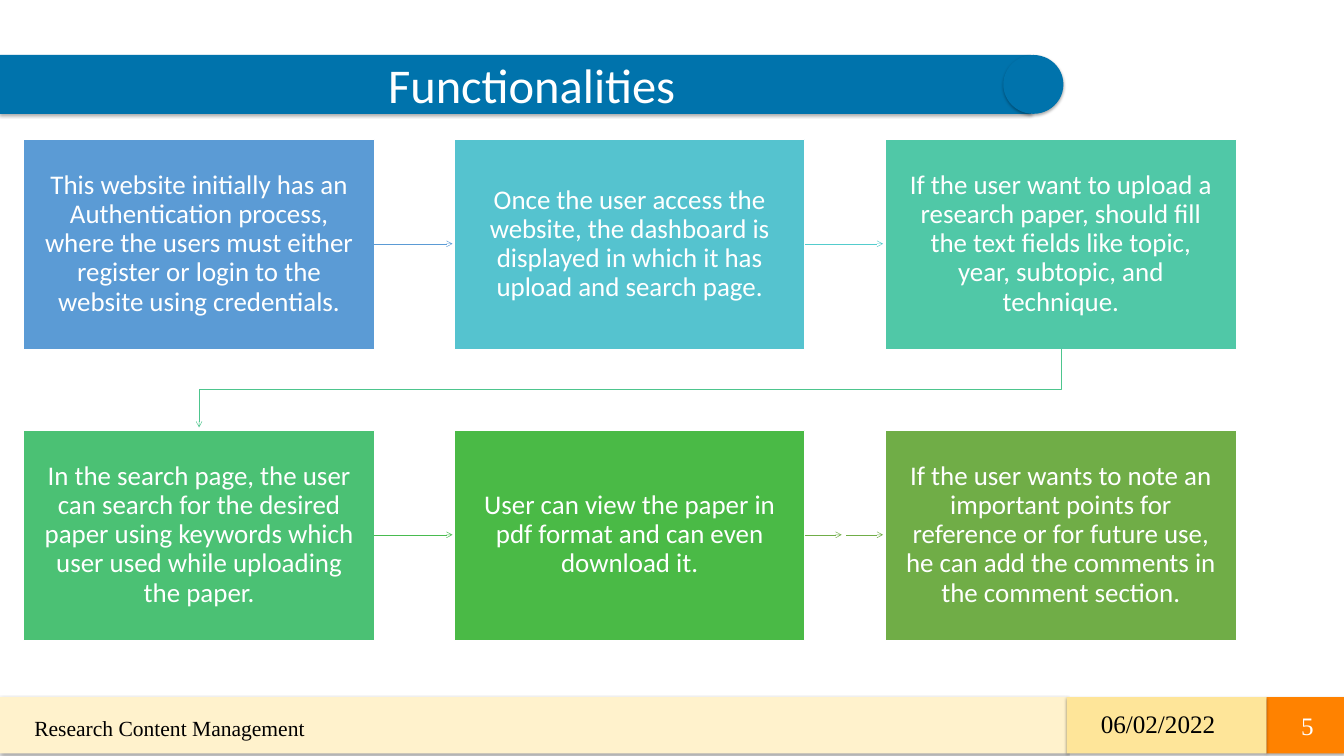
from lxml.etree import SubElement
from pptx import Presentation
from pptx.dml.color import RGBColor
from pptx.enum.shapes import MSO_CONNECTOR as Conn, MSO_SHAPE as Kind
from pptx.enum.text import MSO_ANCHOR as Anchor, PP_ALIGN as Align
from pptx.oxml.ns import qn
from pptx.util import Pt

PX = 9144


def rgb(code):
    return RGBColor.from_string(code)


class Deck:
    """Draws styled elements on one slide, in px of a hundredth of an inch."""

    sans = "Calibri"
    serif = "Times New Roman"
    white = "FFFFFF"
    black = "000000"

    def __init__(self, width, height):
        self.prs = Presentation()
        self.prs.slide_width = width * PX
        self.prs.slide_height = height * PX
        self.slide = self.prs.slides.add_slide(self.prs.slide_layouts[6])
        self.shapes = self.slide.shapes

    def fill_text(self, shape, text, size, font, color, align, anchor, pad):
        frame = shape.text_frame
        frame.word_wrap = True
        frame.vertical_anchor = anchor
        left, top, right, bottom = pad
        frame.margin_left, frame.margin_top = left * PX, top * PX
        frame.margin_right, frame.margin_bottom = right * PX, bottom * PX
        para = frame.paragraphs[0]
        para.text = text
        para.alignment = align
        para.font.size = Pt(size)
        para.font.name = font
        para.font.color.rgb = rgb(color)
        return para

    def block(self, kind, box, fill):
        shape = self.shapes.add_shape(kind, *(n * PX for n in box))
        shape.shadow.inherit = False
        shape.fill.solid()
        shape.fill.fore_color.rgb = rgb(fill)
        shape.line.fill.background()
        return shape

    def panel(self, kind, box, fill):
        shape = self.block(kind, box, fill)
        effects = shape.element.spPr.find(qn("a:effectLst"))
        shade = SubElement(effects, qn("a:outerShdw"), blurRad=str(Pt(3.5)),
                           dist=str(Pt(2.2)), dir="5400000", rotWithShape="0")
        tint = SubElement(shade, qn("a:srgbClr"), val=self.black)
        SubElement(tint, qn("a:alpha"), val="32000")
        return shape

    def title(self, box, fill, text):
        shape = self.panel(Kind.RECTANGLE, box, fill)
        self.fill_text(shape, text, 54, self.sans, self.white, Align.CENTER,
                       Anchor.TOP, (50, 0, 0, 0))

    def card(self, box, fill, text):
        shape = self.block(Kind.RECTANGLE, box, fill)
        shape.line.color.rgb = rgb(self.white)
        shape.line.width = Pt(1)
        para = self.fill_text(shape, text, 30, self.sans, self.white,
                              Align.CENTER, Anchor.MIDDLE, (27, 28, 27, 28))
        para.line_spacing = 0.9

    def label(self, box, text, size, color, align=Align.LEFT,
              anchor=Anchor.TOP, pad=(10, 5, 10, 5)):
        shape = self.shapes.add_textbox(*(n * PX for n in box))
        self.fill_text(shape, text, size, self.serif, color, align, anchor,
                       pad)

    def point(self, shape, color):
        shape.line.color.rgb = rgb(color)
        shape.line.width = Pt(0.5)
        line = shape.element.spPr.find(qn("a:ln"))
        SubElement(line, qn("a:tailEnd"), type="arrow")

    def arrow(self, start, end, y, color):
        shape = self.shapes.add_connector(
            Conn.STRAIGHT, start * PX, y * PX, end * PX, y * PX)
        self.point(shape, color)
        SubElement(shape.element.spPr, qn("a:effectLst"))

    def route(self, spots, color):
        pen = self.shapes.build_freeform(*spots[0], scale=PX)
        pen.add_line_segments(spots[1:], close=False)
        shape = pen.convert_to_shape()
        shape.fill.background()
        self.point(shape, color)
        shape.shadow.inherit = False

    def save(self):
        self.prs.save("out.pptx")


CARDS = [
    ("5B9BD5", "This website initially has an Authentication process, where "
     "the users must either register or login to the website using "
     "credentials."),
    ("55C3CF", "Once the user access the website, the dashboard is displayed "
     "in which it has upload and search page."),
    ("50C8A7", "If the user want to upload a research paper, should fill the "
     "text fields like topic, year, subtopic, and technique."),
    ("4BC174", "In the search page, the user can search for the desired paper "
     "using keywords which user used while uploading the paper."),
    ("4ABA46", "User can view the paper in pdf format and can even download "
     "it."),
    ("70AD47", "If the user wants to note an important points for reference "
     "or for future use, he can add the comments in the comment section."),
]
ARROWS = [
    (0, 0, 0, 121, "5B9BD5"),
    (0, 1, 0, 121, "54CCCD"),
    (1, 0, 0, 121, "48BB4F"),
    (1, 1, 0, 57, "70AD47"),
    (1, 1, 64, 121, "70AD47"),
]
BANDS = [(0, 1650, "FFF2CC"), (1959, 120, "FF8200"), (1650, 309, "FEE599")]
WIDE, HIGH = 542, 325


def place(row, col):
    return 37 + col * 1333 // 2, 215 + row * 450


def main():
    deck = Deck(2079, 1169)
    for left, width, fill in BANDS:
        deck.panel(Kind.RECTANGLE, (left, 1078, width, 87), fill)
    deck.label((1693, 1091, 245, 57), "06/02/2022", 28, deck.black)
    deck.label((1979, 1101, 63, 42), "5", 28, deck.white,
               Align.RIGHT, Anchor.MIDDLE)
    deck.label((35, 1101, 1048, 50), "Research Content Management", 24,
               deck.black, pad=(18, 5, 10, 5))

    deck.title((0, 85, 1595, 91), "0073AC", "Functionalities")
    deck.panel(Kind.OVAL, (1552, 85, 93, 91), "0073AC")

    for i, (fill, text) in enumerate(CARDS):
        deck.card((*place(*divmod(i, 3)), WIDE, HIGH), fill, text)
    for row, col, start, end, color in ARROWS:
        left, top = place(row, col)
        edge = left + WIDE
        deck.arrow(edge + start, edge + end, top + HIGH // 2, color)
    deck.route([(1641, 540), (1641, 602), (308, 602), (308, 661)], "4DC58D")
    deck.save()


if __name__ == "__main__":
    main()
